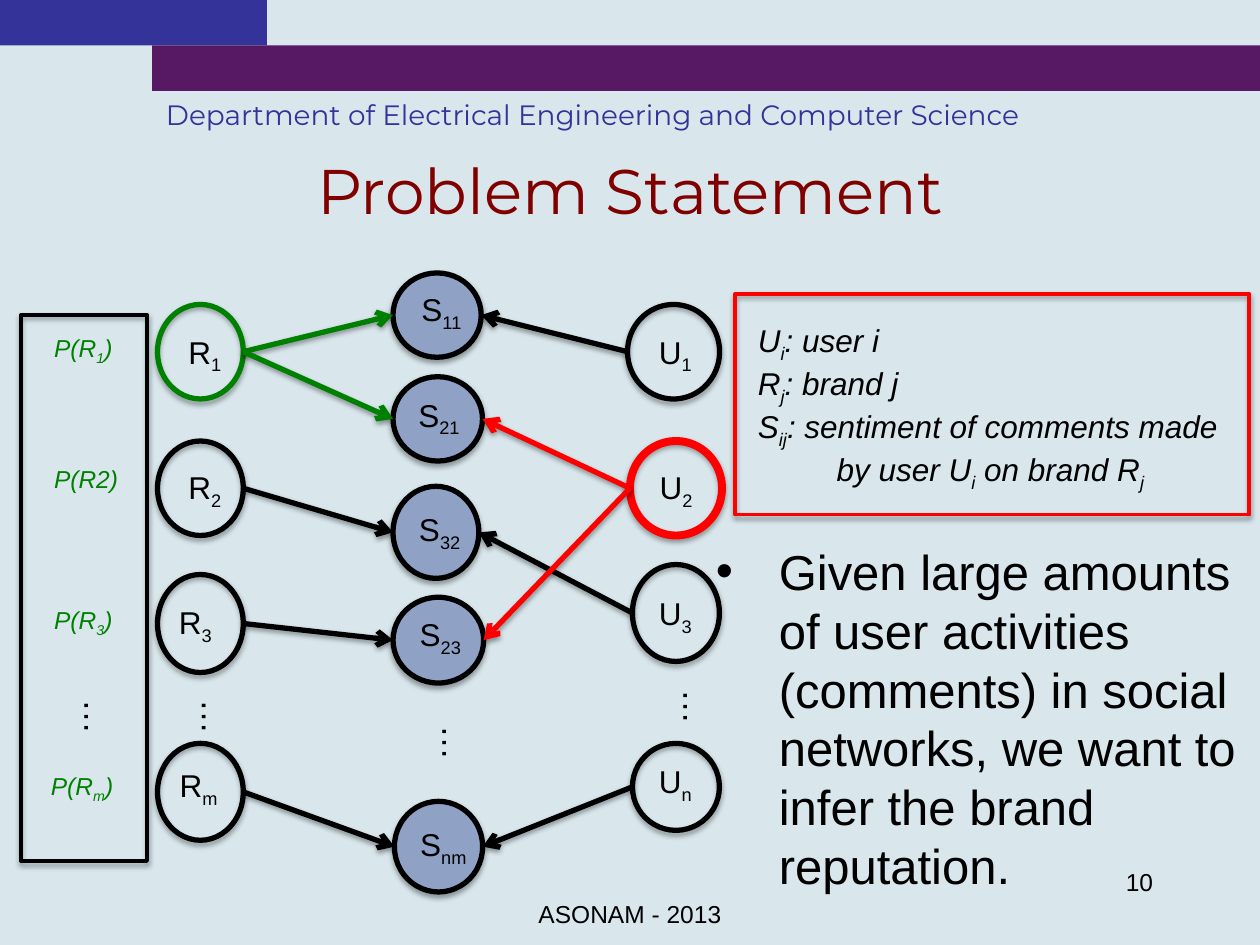
from lxml import etree
from pptx import Presentation
from pptx.dml.color import RGBColor
from pptx.enum import shapes, text
from pptx.oxml import ns
from pptx.util import Pt

BACKDROP = RGBColor(0xD9, 0xE7, 0xEC)
PURPLE = RGBColor(0x57, 0x19, 0x63)
NAVY = RGBColor(0x33, 0x33, 0x99)
MAROON = RGBColor(0x80, 0x00, 0x00)
BLACK = RGBColor(0x00, 0x00, 0x00)
STEEL = RGBColor(0x8F, 0xA1, 0xC5)
RED = RGBColor(0xFF, 0x00, 0x00)
GREEN = RGBColor(0x00, 0x80, 0x00)
CENTER = text.PP_ALIGN.CENTER


def child(parent, tag, **attributes):
    return etree.SubElement(parent, ns.qn(tag), attributes)


def add_shadow(shape, opacity, distance):
    effects = child(shape._element.spPr, "a:effectLst")
    outer = child(effects, "a:outerShdw", blurRad=str(Pt(3.1)), dist=str(Pt(distance)),
                  dir="5400000", rotWithShape="0")
    tone = child(outer, "a:srgbClr", val=str(BLACK))
    child(tone, "a:alpha", val=str(opacity * 1000))


def add_outline(slide, kind, box, color, weight, fill=None):
    outline = slide.shapes.add_shape(kind, *map(Pt, box))
    if fill is None:
        outline.fill.background()
    else:
        outline.fill.solid()
        outline.fill.fore_color.rgb = fill
    outline.line.color.rgb = color
    outline.line.width = Pt(weight)
    add_shadow(outline, 35, 1.8)


def add_arrow(slide, start, end, color):
    arrow = slide.shapes.add_connector(shapes.MSO_CONNECTOR.STRAIGHT, *map(Pt, start + end))
    arrow.line.color.rgb = color
    arrow.line.width = Pt(3)
    child(arrow.line._get_or_add_ln(), "a:tailEnd", type="arrow")
    add_shadow(arrow, 38, 1.6)


def add_text(slide, box, lines, size, color=BLACK, align=None, italic=False, font="Arial"):
    frame = slide.shapes.add_textbox(*map(Pt, box)).text_frame
    frame.word_wrap = True
    for index, line in enumerate(lines):
        paragraph = frame.paragraphs[0] if index == 0 else frame.add_paragraph()
        paragraph.alignment = align
        for part, words in enumerate(line.split("|")):
            if not words:
                continue
            run = paragraph.add_run()
            run.text = words
            run.font.name = font
            run.font.size = Pt(size)
            run.font.italic = italic
            run.font.color.rgb = color
            if part % 2:
                run.font._element.set("baseline", "-25000")
    return frame


def add_ellipsis(slide, left, top):
    dots = add_text(slide, (left, top, 37.4, 39.6), ["…"], 20, align=CENTER)
    dots._txBody.bodyPr.set("vert", "vert")


def header(slide, left, top, width, height):
    band = height / 3
    for color, x, y, w in ((PURPLE, 87, band, width - 87), (NAVY, 0, 0, 152.5)):
        bar = slide.shapes.add_shape(shapes.MSO_SHAPE.RECTANGLE, Pt(left + x), Pt(top + y),
                                     Pt(w), Pt(band))
        bar.shadow.inherit = False
        bar.fill.solid()
        bar.fill.fore_color.rgb = color
        bar.line.fill.background()
    add_text(slide, (left + 87.8, top + 2 * band, 590.4, band + 0.6),
             ["Department of Electrical Engineering and Computer Science"],
             16, NAVY, font="Montserrat")


def title(slide, left, top, width, height):
    heading = add_text(slide, (left, top, width, height), ["Problem Statement"],
                       36, MAROON, CENTER, font="Montserrat")
    heading.vertical_anchor = text.MSO_ANCHOR.MIDDLE


def network(slide, left, top):
    nodes = {
        "R|1": ((0, 18, 49, 54), (5.8, 30.5, 42.5)),
        "R|2": ((0, 96, 49, 54), (5.8, 108.2, 42.5)),
        "R|3": ((0, 172.3, 49, 56), (3.6, 185.3, 36)),
        "R|m": ((0, 268.8, 49, 55.4), (2.2, 278.2, 42.5)),
        "S|11": ((134.6, 0, 50.4, 48.2), (134.6, 6, 55.4)),
        "S|21": ((134.6, 59.3, 51.1, 48.2), (140.4, 66.5, 41)),
        "S|32": ((134.6, 121.9, 49, 52.6), (141.1, 132, 40.3)),
        "S|23": ((134.6, 185.3, 51.8, 49), (141.8, 191.8, 39.6)),
        "S|nm": ((135.4, 301.9, 50.4, 51.8), (134.6, 312, 57.6)),
        "U|1": ((268.6, 18, 52.6, 54), (268.6, 30.5, 54.7)),
        "U|2": ((270, 96, 52.6, 54), (274.3, 108.2, 43.9)),
        "U|3": ((271.4, 166.6, 49.7, 55.4), (274.3, 180.2, 43.2)),
        "U|n": ((271.4, 268.8, 49.7, 49.7), (274.3, 276, 43.2)),
    }
    links = (("U|1", "S|11"), ("U|3", "S|32"), ("U|n", "S|nm"), ("R|2", "S|32"),
             ("R|3", "S|23"), ("R|m", "S|nm"), ("U|2", "S|21"), ("U|2", "S|23"),
             ("R|1", "S|11"), ("R|1", "S|21"))
    accents = {"R|1": (GREEN, 3), "U|2": (RED, 4.5)}

    def side(name, right):
        x, y, w, h = nodes[name][0]
        return left + x + (w if right else 0), top + y + h / 2

    for name, ((x, y, w, h), (label_x, label_y, label_w)) in nodes.items():
        color, weight = accents.get(name, (BLACK, 3))
        add_outline(slide, shapes.MSO_SHAPE.OVAL, (left + x, top + y, w, h), color, weight,
                    STEEL if name.startswith("S") else None)
        add_text(slide, (left + label_x, top + label_y, label_w, 28.8), [name], 18,
                 align=CENTER)
    for source, target in links:
        from_brand = source.startswith("R")
        add_arrow(slide, side(source, from_brand), side(target, not from_brand),
                  accents.get(source, (BLACK, 3))[0])
    for x, y in ((11.5, 234.2), (149, 248.6), (286.6, 228.5)):
        add_ellipsis(slide, left + x, top + y)


def priors(slide, left, top, width, height):
    add_outline(slide, shapes.MSO_SHAPE.RECTANGLE, (left, top, width, height), BLACK, 2.25)
    for prior, x, y in (("P(R|1|)", 11.8, 6.5), ("P(R2)", 11.8, 81.4),
                        ("P(R|3|)", 11.8, 162), ("P(R|m|)", 10, 257)):
        add_text(slide, (left + x, top + y, 55.4, 25.2), [prior], 14, GREEN, italic=True)
    add_ellipsis(slide, left + 22.4, top + 210.2)


def legend(slide, left, top, width, height):
    add_outline(slide, shapes.MSO_SHAPE.RECTANGLE, (left, top, width, height), RED, 2.25)
    meanings = add_text(slide, (left + 6, top + 12, width, 94.3),
                        ["U|i|: user i", "R|j|: brand j",
                         "S|ij|: sentiment of comments made",
                         "by user U|i| on brand R|j"], 18, italic=True)
    meanings.paragraphs[-1]._p.get_or_add_pPr().set("marL", str(Pt(45)))


def goal(slide, left, top, width, height):
    frame = slide.shapes.add_textbox(Pt(left), Pt(top), Pt(width), Pt(height)).text_frame
    frame.word_wrap = True
    statement = frame.paragraphs[0]
    statement.text = ("Given large amounts of user activities (comments) in social "
                      "networks, we want to infer the brand reputation.")
    statement.line_spacing = Pt(33.6)
    properties = statement._p.get_or_add_pPr()
    properties.set("marL", str(Pt(36)))
    properties.set("indent", str(-Pt(36)))
    child(properties, "a:buFont", typeface="Arial")
    child(properties, "a:buChar", char="•")
    font = statement.runs[0].font
    font.name = "Arial"
    font.size = Pt(28)
    font.color.rgb = BLACK


def footer(slide, left, top):
    add_text(slide, (left, top + 18, 228, 36), ["ASONAM - 2013"], 14, align=CENTER)
    add_text(slide, (left + 270, top, 150, 36), ["10"], 14, align=text.PP_ALIGN.RIGHT)


def main():
    deck = Presentation()
    deck.slide_width, deck.slide_height = Pt(720), Pt(540)
    slide = deck.slides.add_slide(deck.slide_layouts[6])
    slide.background.fill.solid()
    slide.background.fill.fore_color.rgb = BACKDROP
    header(slide, 0, 0, 720, 78)
    network(slide, 90, 156)
    priors(slide, 12, 180, 72, 312)
    title(slide, 54, 78, 612, 60)
    goal(slide, 402, 306, 318, 201.6)
    legend(slide, 420, 168, 294, 126)
    footer(slide, 246, 492)
    deck.save("out.pptx")


if __name__ == "__main__":
    main()
